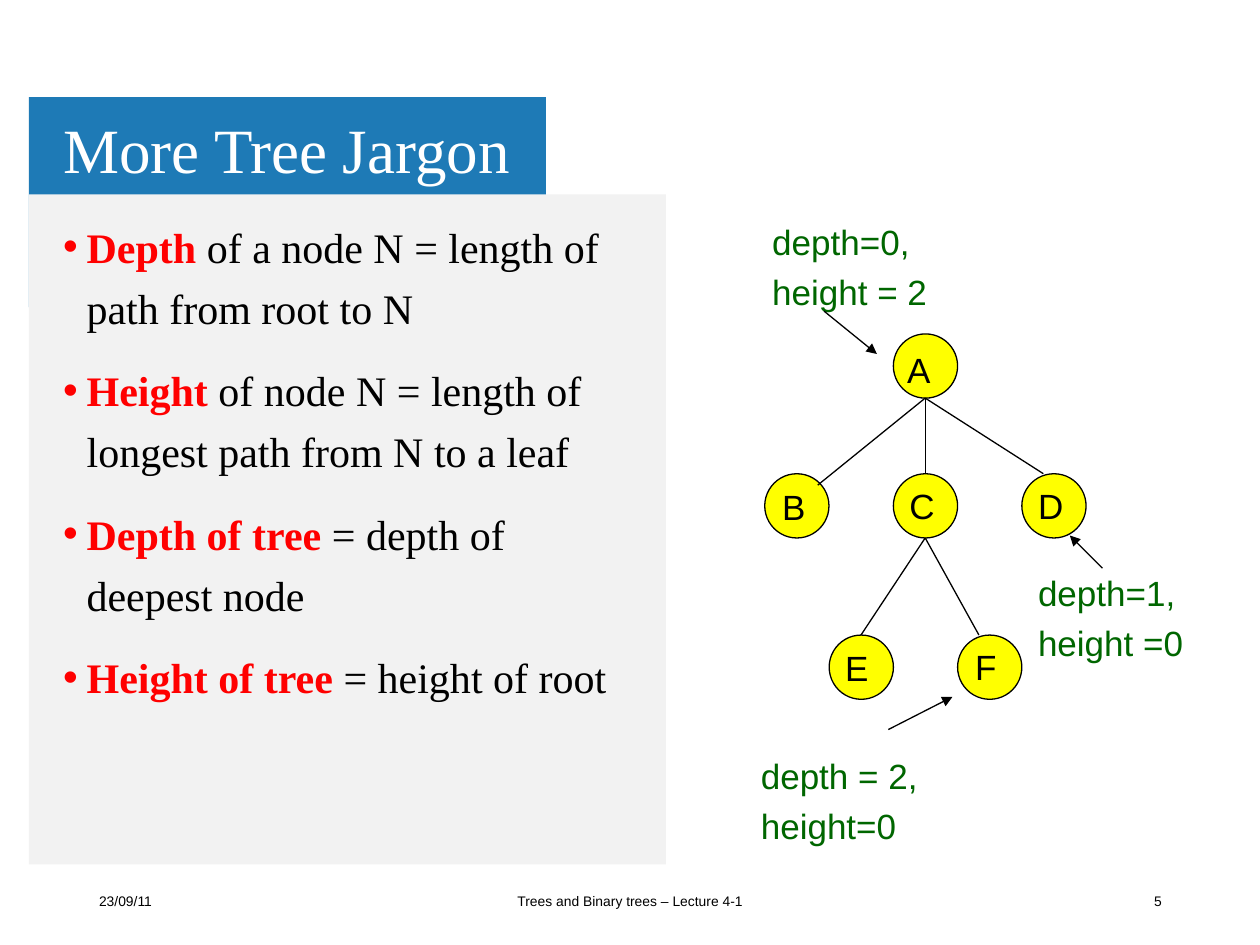
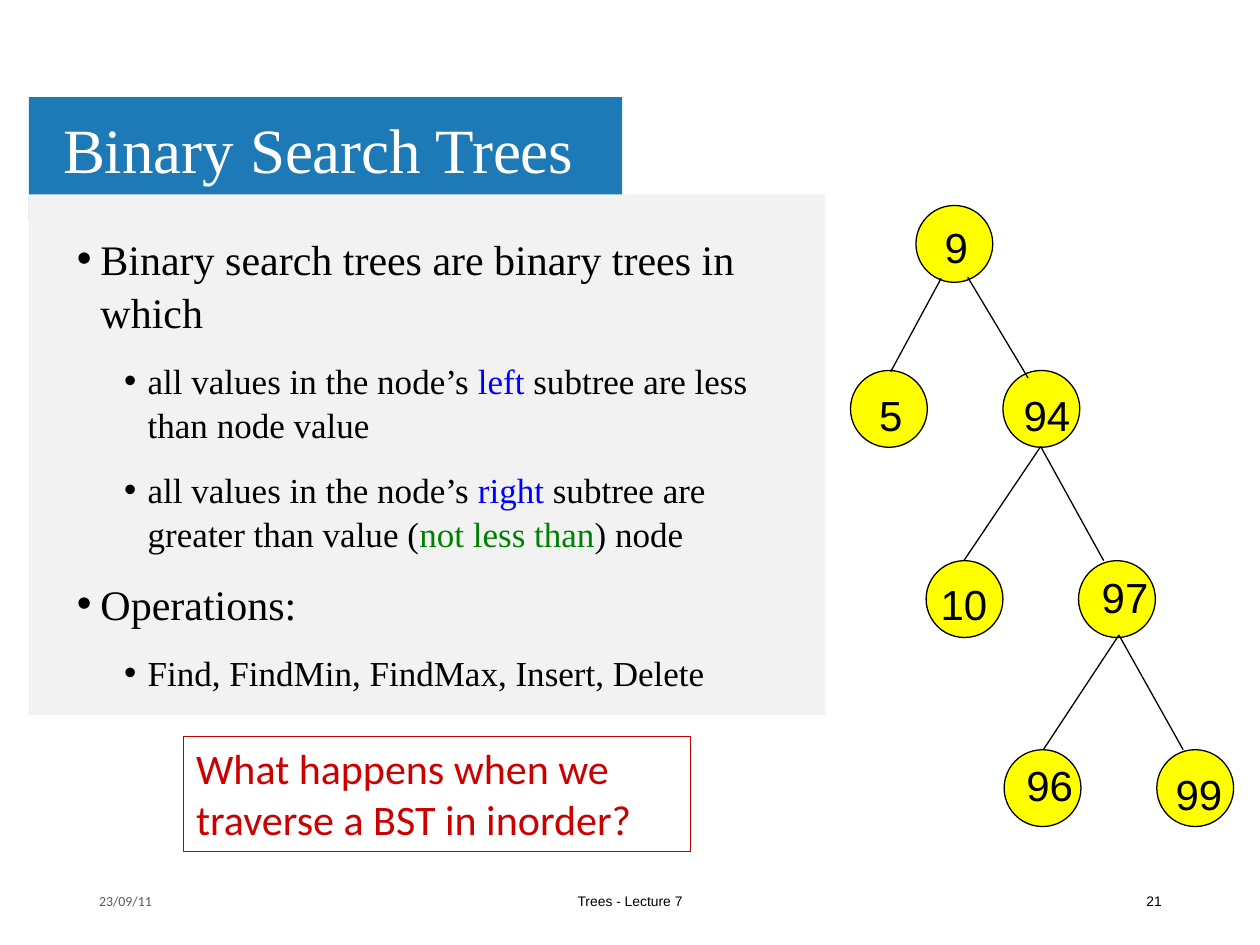
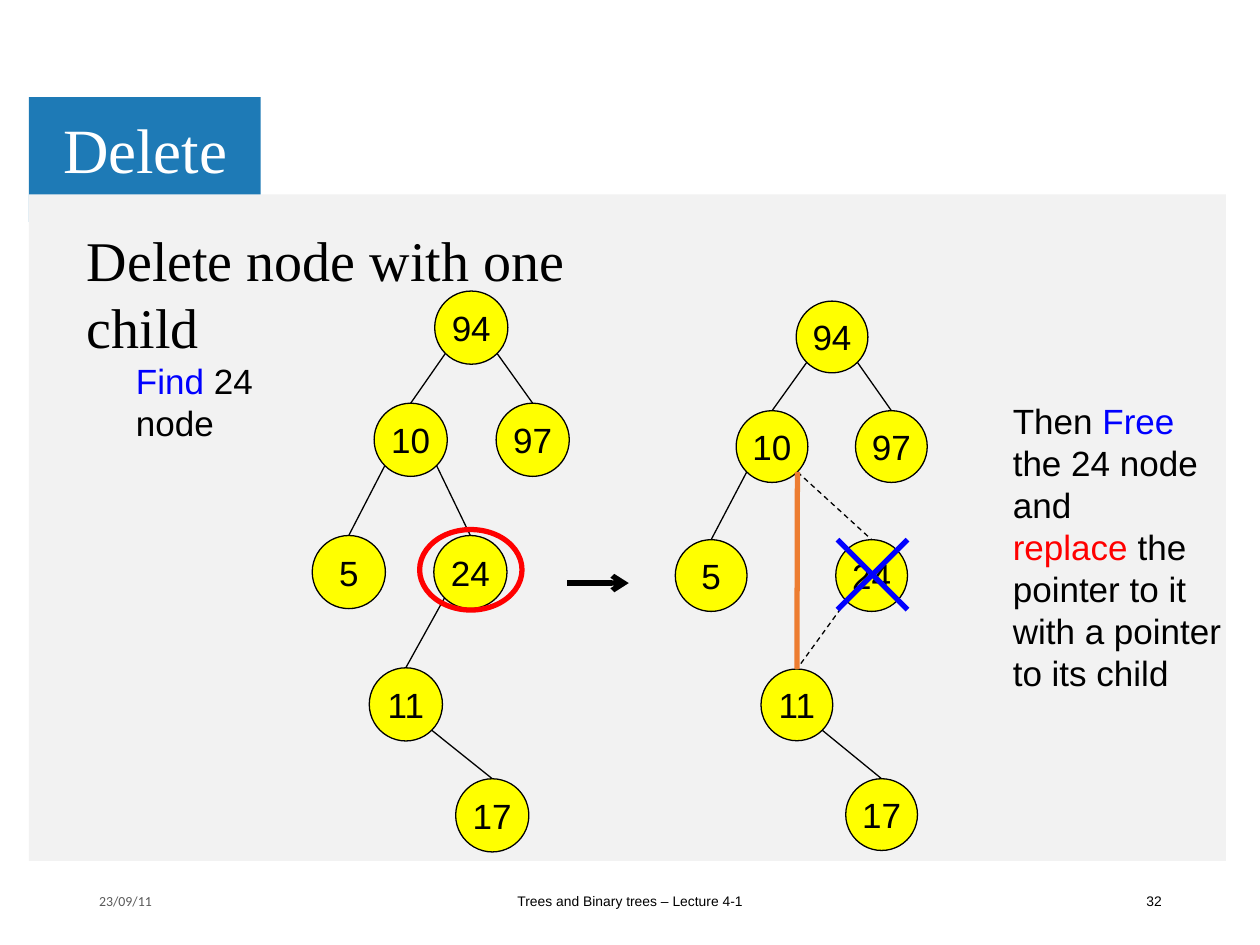
"""Build three lecture slides on trees and binary search trees."""
from dataclasses import dataclass
from typing import NamedTuple

from lxml.etree import SubElement
from pptx import Presentation
from pptx.dml.color import RGBColor
from pptx.enum.dml import MSO_LINE
from pptx.enum.shapes import MSO_CONNECTOR, MSO_SHAPE
from pptx.enum.text import MSO_ANCHOR as ANCHOR, MSO_AUTO_SIZE, PP_ALIGN as ALIGN
from pptx.oxml.ns import qn
from pptx.util import Pt

BLACK, WHITE, RED, BLUE = "000000", "FFFFFF", "FF0000", "0000FF"
BAND, PANEL, YELLOW, GREEN = "1E7AB6", "F2F2F2", "FFFF00", "006600"
GREY, ORANGE, DARK_RED, LEAF = "595959", "ED7D31", "CC0000", "008000"
SERIF, SANS, HUMANIST = "Times New Roman", "Arial", "Calibri"
LEFT = 16.5
HANG, LEVEL_STEP = 13.5, 27
DIAGONAL = 0.5 ** 0.5 / 2


class Box(NamedTuple):
    """A rectangle in points."""
    x: float
    y: float
    w: float
    h: float


class Run(NamedTuple):
    """A stretch of text with its own colour or weight."""
    text: str
    color: str | None = None
    bold: bool = False


class Para(NamedTuple):
    """A paragraph of runs at a list level."""
    runs: list[Run]
    level: int = 0


@dataclass
class Node:
    """A tree node; a label box, if given, is offset from the circle."""
    label: str
    x: float
    y: float
    dx: float = 0
    dy: float = 0
    label_w: float = 0


@dataclass
class Line:
    """A straight line with its style."""
    x1: float
    y1: float
    x2: float
    y2: float
    color: str = BLACK
    width: float = 0.75
    dash: bool = False
    head: str = ""


@dataclass
class Page:
    """The parts of a slide's frame that vary."""
    title: str
    band_w: float
    band_h: float
    panel_w: float
    panel_h: float
    footer: str
    number: str
    date_font: str = HUMANIST
    date_color: str = GREY


def rgb(value: str) -> RGBColor:
    """Turn a hex string into a colour."""
    return RGBColor.from_string(value)


def points(box: Box) -> list[int]:
    """Convert a box to lengths."""
    return [Pt(v) for v in box]


def plain(text: str, level: int = 0) -> Para:
    """Make a paragraph of one run."""
    return Para([Run(text)], level)


def write(tf, paras, *, size=20, font=SANS, color=BLACK, align=ALIGN.LEFT, anchor=ANCHOR.TOP,
          spacing=1.0, before=0, sizes=None, bullet=False, wrap=True) -> None:
    """Fill a text frame with formatted paragraphs."""
    tf.auto_size, tf.word_wrap, tf.vertical_anchor = MSO_AUTO_SIZE.NONE, wrap, anchor
    paras = [plain(paras)] if isinstance(paras, str) else paras
    for i, para in enumerate(paras):
        p = tf.add_paragraph() if i else tf.paragraphs[0]
        p.level, p.alignment, p.line_spacing = para.level, align, spacing
        p.space_before = Pt(before if i else 0)
        if bullet:
            add_bullet(p, para.level)
        for run in para.runs:
            r = p.add_run()
            r.text = run.text
            r.font.name, r.font.bold = font, run.bold
            r.font.size = Pt(sizes[para.level] if sizes else size)
            r.font.color.rgb = rgb(run.color or color)


def add_bullet(p, level: int) -> None:
    """Give a paragraph a hanging round bullet."""
    pPr = p._p.get_or_add_pPr()
    pPr.set("marL", str(Pt(HANG + LEVEL_STEP * level)))
    pPr.set("indent", str(-Pt(HANG)))
    SubElement(pPr, qn("a:buFont"), typeface=SANS)
    SubElement(pPr, qn("a:buChar"), char="•")


def add_text(s, box: Box, paras, **fmt) -> None:
    """Add a text box."""
    write(s.shapes.add_textbox(*points(box)).text_frame, paras, **fmt)


def place_text(sp, box: Box, paras, **fmt) -> None:
    """Move a placeholder and fill it."""
    sp.left, sp.top, sp.width, sp.height = points(box)
    write(sp.text_frame, paras, **fmt)


def add_shape(s, kind, box: Box, fill: str | None = None, line: str | None = None, width=0.75):
    """Add a preset shape without shadow."""
    sp = s.shapes.add_shape(kind, *points(box))
    sp.shadow.inherit = False
    if fill:
        sp.fill.solid()
        sp.fill.fore_color.rgb = rgb(fill)
    else:
        sp.fill.background()
    if line:
        sp.line.color.rgb, sp.line.width = rgb(line), Pt(width)
    else:
        sp.line.fill.background()
    return sp


def add_line(s, line: Line):
    """Add a straight connector."""
    ends = [Pt(v) for v in (line.x1, line.y1, line.x2, line.y2)]
    cx = s.shapes.add_connector(MSO_CONNECTOR.STRAIGHT, *ends)
    cx.line.color.rgb, cx.line.width = rgb(line.color), Pt(line.width)
    if line.dash:
        cx.line.dash_style = MSO_LINE.DASH
    if line.head:
        SubElement(cx.line._get_or_add_ln(), qn("a:tailEnd"), type=line.head)
    SubElement(cx._element.spPr, qn("a:effectLst"))
    return cx


def add_node(s, node: Node, d: float, size: float, align=ALIGN.CENTER):
    """Draw a circle with its label inside or in a box of its own."""
    sp = add_shape(s, MSO_SHAPE.OVAL, Box(node.x, node.y, d, d), YELLOW, BLACK)
    if node.label_w:
        box = Box(node.x + node.dx, node.y + node.dy, node.label_w, size * 1.2 + 12)
        add_text(s, box, node.label, size=size, align=align, spacing=1.2)
    else:
        write(sp.text_frame, node.label, size=size, align=align, anchor=ANCHOR.MIDDLE, wrap=False)
    return sp


def add_edge(s, parent: Node, child: Node, child_sp, d: float, **style) -> None:
    """Join a parent's lower diagonal to the top of its child."""
    side = 1 if child.x > parent.x else -1
    x, y = parent.x + d / 2 + side * DIAGONAL * d, parent.y + d / 2 + DIAGONAL * d
    cx = add_line(s, Line(x, y, child.x + d / 2, child.y, **style))
    cx.end_connect(child_sp, 0)


def add_page(prs, page: Page, layout: int):
    """Add a slide with band, panel, title and footer."""
    s = prs.slides.add_slide(prs.slide_layouts[layout])
    frame = [(Box(LEFT, 55.5, page.band_w, page.band_h), BAND),
             (Box(LEFT, 111, page.panel_w, page.panel_h), PANEL)]
    for i, (box, fill) in enumerate(frame):
        sp = add_shape(s, MSO_SHAPE.RECTANGLE, box, fill)
        s.shapes.element.insert(2 + i, sp.element)
    place_text(s.shapes.title, Box(28.8, 59, 400, 57), page.title, size=36, font=SERIF,
               color=WHITE, anchor=ANCHOR.MIDDLE, spacing=0.9)
    footer = [(49.5, 162, page.date_font, page.date_color, ALIGN.LEFT, "23/09/11"),
              (238.5, 243, SANS, BLACK, ALIGN.CENTER, page.footer),
              (509, 162, SANS, BLACK, ALIGN.RIGHT, page.number)]
    for x, w, font, color, align, text in footer:
        add_text(s, Box(x, 500.5, w, 28.75), text, size=7.9, font=font, color=color,
                 align=align, anchor=ANCHOR.MIDDLE)
    return s


def build_jargon(prs) -> None:
    """Depth and height definitions beside a labelled tree."""
    s = add_page(prs, Page("More Tree Jargon", 295.5, 120, 364, 383,
                           "Trees and Binary trees – Lecture 4-1", "5", SANS, BLACK), 1)
    terms = [("Depth ", "of a node N = length of path from root to N"),
             ("Height", " of node N = length of longest path from N to a leaf"),
             ("Depth of tree ", "= depth of deepest node"),
             ("Height of tree ", "= height of root")]
    place_text(s.placeholders[1], Box(28.8, 116.6, 337.7, 360.7),
               [Para([Run(term, RED, True), Run(meaning)]) for term, meaning in terms],
               size=24, font=SERIF, spacing=Pt(35), before=12, bullet=True)
    nodes = [Node("A", 510.5, 190.8, 0.7, 0, 32.4), Node("B", 437, 270.7, 2.9, -1.4, 32.4),
             Node("C", 510.5, 270.7, 2.1, -2.1, 32.4), Node("D", 583.9, 270.7, 2.2, -2.1, 32.4),
             Node("E", 473.8, 362.9, 2.1, -1.5, 32.4), Node("F", 547.2, 362.9, 2.9, -2.2, 32.4)]
    for node in nodes:
        add_node(s, node, 36.7, 20, ALIGN.LEFT)
    root, middle = (528.7, 227.5), (528.7, 307.4)
    edges = [(root, 467.3, 277.2), (root, 528.7, 270.7), (root, 596.2, 270.7),
             (middle, 492, 362.9), (middle, 559.4, 362.9)]
    for start, x, y in edges:
        add_line(s, Line(*start, x, y))
    notes = [(434.2, 117.4, "depth=0,", "height = 2", (470.9, 177.8, 501.1, 202.3)),
             (427.7, 422.6, "depth = 2,", "height=0", (507.6, 416.9, 544.3, 398.2)),
             (586.1, 318.2, "depth=1,", "height =0", (630, 324.7, 611.3, 306))]
    for x, y, depth, height, arrow in notes:
        add_text(s, Box(x, y, 116, 65.5), [plain(depth), plain(height)], color=GREEN, spacing=1.2)
        add_line(s, Line(*arrow, head="triangle"))


def build_search_trees(prs) -> None:
    """The search tree rule, its operations and a sample tree."""
    s = add_page(prs, Page("Binary Search Trees", 339, 71.3, 455, 297.5,
                           "Trees - Lecture 7", "21"), 1)
    paras = [plain("Binary search trees are binary trees in which"),
             Para([Run("all values in the node’s "), Run("left", BLUE),
                   Run(" subtree are less than node value")], 1),
             Para([Run("all values in the node’s "), Run("right", BLUE),
                   Run(" subtree are greater than value ("), Run("not less than", LEAF),
                   Run(") node")], 1),
             plain("Operations:"),
             plain("Find, FindMin, FindMax, Insert, Delete", 1)]
    place_text(s.placeholders[1], Box(36.7, 128.2, 433.4, 272.9), paras, sizes=(24, 20),
               font=SERIF, spacing=1.05, before=12, bullet=True)
    nodes = [Node("9", 523.4, 117.4, 3.6, 0, 38.9), Node("5", 486, 211.7, 3.6, 1.4, 38.9),
             Node("94", 573.1, 211.7, -7.9, 1.4, 66.2), Node("10", 529.2, 320.4, -4.3, 0.7, 51.8),
             Node("97", 616.3, 320.4, -6.5, -2.9, 66.2), Node("96", 573.8, 428.4, -2.1, -3.6, 56.2),
             Node("99", 661, 428.4, -1.5, 1.4, 51.1)]
    for node in nodes:
        add_node(s, node, 43.9, 24)
    edges = [(537.8, 159.1, 509, 212.4), (553, 158.4, 587.5, 216),
             (594.7, 255.2, 550.8, 320.4), (594.7, 255.2, 630.7, 320.4),
             (639.4, 362.9, 596.2, 428.4), (639.4, 362.9, 676.1, 428.4)]
    for edge in edges:
        add_line(s, Line(*edge))
    sp = add_shape(s, MSO_SHAPE.RECTANGLE, Box(105, 421, 289.5, 65.5), line="C00000")
    write(sp.text_frame, "What happens when we traverse a BST in inorder?", size=24,
          font=HUMANIST, color=DARK_RED)


def draw_tree(s, nodes: list[Node], d: float, dashed: set[str]) -> dict[str, Node]:
    """Draw one state of the deletion tree; edges at dashed pairs are broken."""
    by_label = {node.label: node for node in nodes}
    circles = {node.label: add_node(s, node, d, 20) for node in nodes}
    for pair in ("94-10", "94-97", "10-5", "10-24", "24-11", "11-17"):
        parent, child = pair.split("-")
        add_edge(s, by_label[parent], by_label[child], circles[child], d, dash=pair in dashed)
    if dashed:
        add_edge(s, by_label["10"], by_label["11"], circles["11"], d, color=ORANGE, width=3)
    return by_label


def build_delete(prs) -> None:
    """Deleting a node with one child, before and after."""
    s = add_page(prs, Page("Delete", 132.5, 71.3, 684, 381,
                           "Trees and Binary trees – Lecture 4-1", "32"), 5)
    add_text(s, Box(70.6, 201.6, 131, 31.5), [Para([Run("Find ", BLUE), Run("24 node")])])
    add_text(s, Box(571.7, 224.6, 144, 177),
             [Para([Run("Then"), Run(" Free", BLUE)]), plain("the 24 node and"),
              Para([Run("replace", RED), Run(" the")]),
              plain("pointer to it with a pointer to its child")])
    draw_tree(s, [Node("94", 248.4, 166.3), Node("10", 213.8, 230.4), Node("97", 283.5, 230.4),
                  Node("5", 178.4, 306), Node("24", 247.9, 306), Node("11", 211, 381.6),
                  Node("17", 260.4, 445)], 41.8, set())
    add_shape(s, MSO_SHAPE.OVAL, Box(239.8, 302.6, 58.5, 46), line=RED, width=3)
    add_line(s, Line(324, 333.2, 359.3, 333.2, width=3, head="arrow"))
    d = 41
    after = draw_tree(s, [Node("94", 455, 172.1), Node("10", 420.7, 234.7), Node("97", 488.9, 234.7),
                          Node("5", 385.9, 308.4), Node("24", 477.6, 308.4), Node("11", 434.9, 382.3),
                          Node("17", 483.3, 445)], d, {"10-24", "24-11"})
    gone = after["24"]
    left, right, top, bottom = gone.x + 1, gone.x + d, gone.y, gone.y + d - 1
    for y1, y2 in ((top, bottom), (bottom, top)):
        add_line(s, Line(left, y1, right, y2, BLUE, 3))
    add_text(s, Box(42.5, 125.3, 359.3, 46), "Delete node with one child", size=32, font=SERIF)


def main() -> None:
    """Build and save the slides."""
    prs = Presentation()
    prs.slide_width, prs.slide_height = Pt(720), Pt(540)
    build_jargon(prs)
    build_search_trees(prs)
    build_delete(prs)
    prs.save("out.pptx")


if __name__ == "__main__":
    main()
